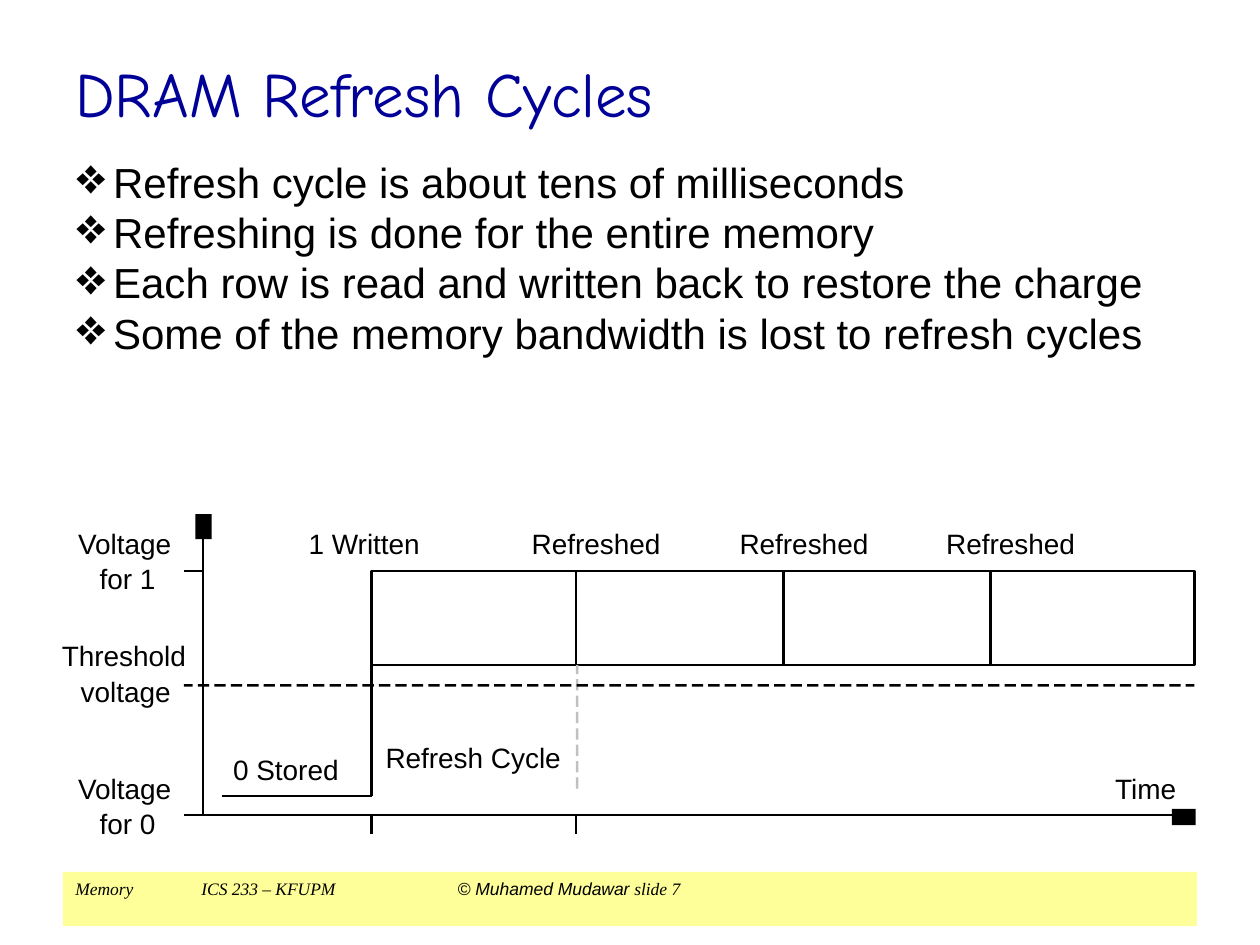
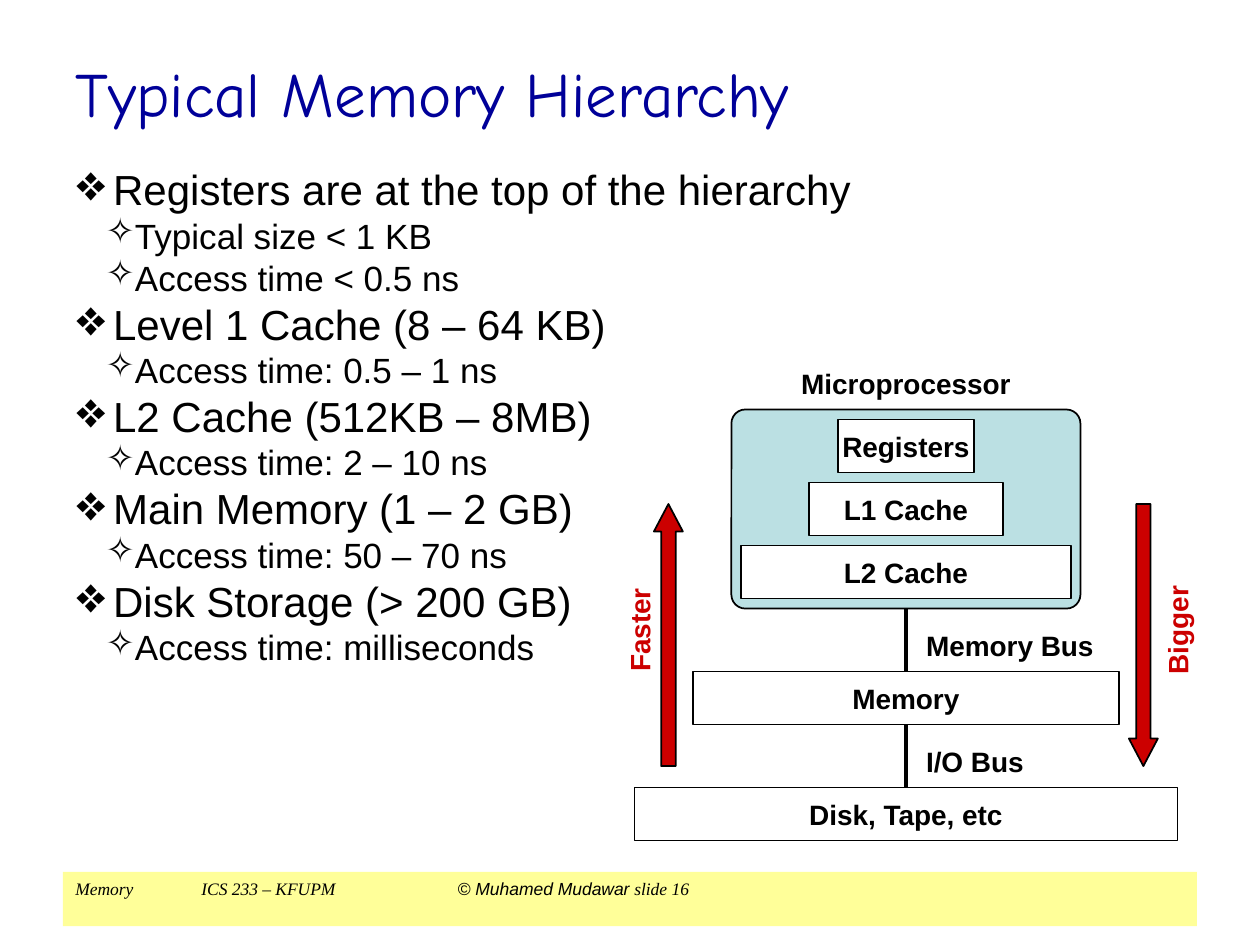
from lxml.etree import SubElement
from pptx import Presentation
from pptx.dml.color import RGBColor
from pptx.enum.shapes import MSO_CONNECTOR, MSO_SHAPE
from pptx.enum.text import MSO_ANCHOR, PP_ALIGN
from pptx.oxml.ns import qn
from pptx.util import Inches, Pt

BLACK = RGBColor(0x00, 0x00, 0x00)
WHITE = RGBColor(0xFF, 0xFF, 0xFF)
GREY = RGBColor(0xC0, 0xC0, 0xC0)
TITLE_BLUE = RGBColor(0x00, 0x00, 0x99)
BAND_YELLOW = RGBColor(0xFF, 0xFF, 0x99)
CHIP_TEAL = RGBColor(0xBB, 0xE0, 0xE3)
ARROW_RED = RGBColor(0xCC, 0x00, 0x00)

BODY_FONT, TITLE_FONT, FOOTER_FONT = "Arial", "Comic Neue", "Times New Roman"
PADDED = {"margin_left": Inches(0.1), "margin_right": Inches(0.1),
          "margin_top": Inches(0.05), "margin_bottom": Inches(0.05)}
TIGHT = dict.fromkeys(PADDED, 0)
LABEL = {"name": BODY_FONT, "size": Pt(16)}
BOLD_LABEL = {**LABEL, "bold": True}
# symbol, symbol scale, text size, left margin, first-line indent
BULLETS = [("❖", "120000", Pt(24), Inches(0.3), Inches(-0.29)),
           ("✧", "100000", Pt(20), Inches(0.24), 0)]
FOOTER_TABS = [Inches(1), Inches(3)]
AXIS_WEIGHT = 1.39


def apply(target, values):
    for name, value in values.items():
        setattr(target, name, value)


def add_run(paragraph, text, font, color=BLACK):
    run = paragraph.add_run()
    run.text = text
    apply(run.font, font)
    run.font.color.rgb = color


def add_text(slide, text, box, font, color=BLACK, frame=TIGHT, align=PP_ALIGN.LEFT,
             wrap=True, rotation=0):
    holder = slide.shapes.add_textbox(*map(Inches, box))
    holder.rotation = rotation
    apply(holder.text_frame, {"word_wrap": wrap, **frame})
    paragraph = holder.text_frame.paragraphs[0]
    paragraph.alignment = align
    add_run(paragraph, text, font, color)


def add_figure(slide, preset, box, fill=None, outline=None, weight=1):
    figure = slide.shapes.add_shape(preset, *map(Inches, box))
    figure.shadow.inherit = False
    if fill is None:
        figure.fill.background()
    else:
        figure.fill.solid()
        figure.fill.fore_color.rgb = fill
    if outline is None:
        figure.line.fill.background()
    else:
        figure.line.color.rgb = outline
        figure.line.width = Pt(weight)
    return figure


def add_block(slide, left, top, width, height, fill):
    return add_figure(slide, MSO_SHAPE.RECTANGLE, (left, top, width, height), fill)


def add_line(slide, start, end, weight=AXIS_WEIGHT):
    line = slide.shapes.add_connector(
        MSO_CONNECTOR.STRAIGHT, *map(Inches, (*start, *end)))
    line.line.color.rgb = BLACK
    line.line.width = Pt(weight)
    SubElement(line._element.spPr, qn("a:effectLst"))
    return line


def add_title_and_footer(slide, title, number):
    band = add_block(slide, 0.5, 6.92, 9, 0.43, BAND_YELLOW)
    apply(band.text_frame, {**PADDED, "vertical_anchor": MSO_ANCHOR.TOP})
    credit = band.text_frame.paragraphs[0]
    credit.alignment = PP_ALIGN.LEFT
    tabs = SubElement(credit._p.get_or_add_pPr(), qn("a:tabLst"))
    for position in FOOTER_TABS:
        SubElement(tabs, qn("a:tab"), pos=str(position), algn="l")
    for text, name in [("Memory\tICS 233 – KFUPM\t ", FOOTER_FONT),
                       ("© Muhamed Mudawar ", BODY_FONT),
                       (f"slide {number}", FOOTER_FONT)]:
        add_run(credit, text, {"name": name, "size": Pt(10), "italic": True})
    add_text(slide, title, (0.5, 0.3, 9, 0.87), {"name": TITLE_FONT, "size": Pt(36)},
             TITLE_BLUE, {**PADDED, "vertical_anchor": MSO_ANCHOR.MIDDLE})


def add_bullets(slide, box, points):
    """Write (level, text) points, each level with its own bullet and size."""
    frame = slide.shapes.add_textbox(*map(Inches, box)).text_frame
    apply(frame, {"word_wrap": True, **PADDED})
    for index, (level, text) in enumerate(points):
        paragraph = frame.add_paragraph() if index else frame.paragraphs[0]
        symbol, scale, size, margin, indent = BULLETS[level]
        paragraph.level = level
        properties = paragraph._p.get_or_add_pPr()
        properties.set("marL", str(margin))
        properties.set("indent", str(indent))
        SubElement(properties, qn("a:buSzPct"), val=scale)
        SubElement(properties, qn("a:buChar"), char=symbol)
        add_run(paragraph, text, {"name": BODY_FONT, "size": size})


def add_voltage_chart(slide):
    origin, high, low, decayed, axis, tick = 1.61, 4.53, 6.32, 5.28, 6.47, 1.46
    refreshes = [2.95, 4.57, 6.22, 7.86, 9.48]
    written, refreshed = refreshes[:2]

    add_line(slide, (tick, axis), (9.34, axis))
    add_block(slide, 9.3, 6.42, 0.19, 0.13, BLACK)
    add_line(slide, (origin, 4.23), (origin, axis))
    add_block(slide, 1.55, 4.08, 0.13, 0.2, BLACK)
    add_line(slide, (tick, high), (origin, high))
    for moment in (written, refreshed):
        add_line(slide, (moment, axis), (moment, 6.62))

    add_line(slide, (1.76, low), (written, low))
    add_line(slide, (written, low), (written, high))
    for start, end in zip(refreshes, refreshes[1:]):
        add_line(slide, (start, decayed), (start, high))
        add_figure(slide, MSO_SHAPE.RECTANGLE,
                   (start, high, end - start, decayed - high), None, BLACK, AXIS_WEIGHT)

    dash, threshold, first_dash, last_dash, dashes = 0.09, 5.43, 1.57, 9.28, 60
    pitch = (last_dash - first_dash) / (dashes - 1)
    add_block(slide, refreshed, decayed, 0.02, 0.07, GREY)
    for step in range(7):
        add_block(slide, refreshed, 5.39 + step * 0.13, 0.02, dash, GREY)
    for end_dash in (tick, 9.41):
        add_block(slide, end_dash, threshold, 0.07, 0.02, BLACK)
    for step in range(dashes):
        add_block(slide, first_dash + step * pitch, threshold, dash, 0.02, BLACK)

    labels = [("Time", 8.85, 6.12, 0.55), ("Threshold", 0.49, 5.07, 1.05),
              ("voltage", 0.64, 5.35, 0.8), ("0 Stored", 1.85, 5.97, 0.95),
              ("1 Written", 2.45, 4.18, 1), ("Refresh Cycle", 3.06, 5.88, 1.45)]
    labels += [("Refreshed", moment - 0.35, 4.18, 1.1) for moment in refreshes[1:-1]]
    for digit, top in [(1, 4.18), (0, 6.12)]:
        labels += [("Voltage", 0.62, top, 0.8), (f"for {digit}", 0.79, top + 0.28, 0.55)]
    for text, left, top, width in labels:
        add_text(slide, text, (left, top, width, 0.27), LABEL)


def add_store(slide, name, top, width, outline=BLACK):
    """Add one level of the hierarchy, centred on the shared axis."""
    store = add_figure(slide, MSO_SHAPE.RECTANGLE,
                       (7.19 - width / 2, top, width, 0.42), WHITE, outline)
    apply(store.text_frame, {**TIGHT, "vertical_anchor": MSO_ANCHOR.MIDDLE})
    paragraph = store.text_frame.paragraphs[0]
    paragraph.alignment = PP_ALIGN.CENTER
    add_run(paragraph, name, BOLD_LABEL)
    return store


def add_bus(slide, name, upper, lower, top):
    bus = add_line(slide, (7.19, top), (7.19, top + 0.5), 2.25)
    bus.begin_connect(upper, 2)
    bus.end_connect(lower, 0)
    add_text(slide, name, (7.35, top + 0.08, 1.47, 0.42), BOLD_LABEL,
             frame={**TIGHT, "vertical_anchor": MSO_ANCHOR.MIDDLE})


def add_trend(slide, name, preset, arrow_left, name_left):
    arrow = add_figure(slide, preset, (arrow_left, 4, 0.23, 2.08), ARROW_RED, BLACK)
    arrow.adjustments[0] = 0.5
    arrow.adjustments[1] = 0.95
    add_text(slide, name, (name_left, 4.82, 2, 0.36), BOLD_LABEL, ARROW_RED,
             PADDED, PP_ALIGN.CENTER, rotation=270)


def add_hierarchy(slide):
    add_store(slide, "Microprocessor", 2.83, 2.62, None)
    chip = add_figure(slide, MSO_SHAPE.ROUNDED_RECTANGLE,
                      (7.19 - 2.77 / 2, 3.25, 2.77, 1.58), CHIP_TEAL, BLACK)
    chip.adjustments[0] = 0.07
    for step, (name, width) in enumerate(
            [("Registers", 1.08), ("L1 Cache", 1.54), ("L2 Cache", 2.62)]):
        add_store(slide, name, 3.33 + step * 0.5, width)
    memory = add_store(slide, "Memory", 5.33, 3.38)
    disk = add_store(slide, "Disk, Tape, etc", 6.25, 4.31)
    add_bus(slide, "Memory Bus", chip, memory, 4.83)
    add_bus(slide, "I/O Bus", memory, disk, 5.75)
    add_trend(slide, "Faster", MSO_SHAPE.UP_ARROW, 5.19, 4.07)
    add_trend(slide, "Bigger", MSO_SHAPE.DOWN_ARROW, 8.96, 8.34)


def main():
    deck = Presentation()
    deck.slide_width, deck.slide_height = Inches(10), Inches(7.5)
    blank = deck.slide_layouts[6]

    refresh = deck.slides.add_slide(blank)
    add_title_and_footer(refresh, "DRAM Refresh Cycles", 7)
    add_voltage_chart(refresh)
    add_bullets(refresh, (0.5, 1.19, 9, 2.66), [
        (0, "Refresh cycle is about tens of milliseconds"),
        (0, "Refreshing is done for the entire memory"),
        (0, "Each row is read and written back to restore the charge"),
        (0, "Some of the memory bandwidth is lost to refresh cycles"),
    ])

    hierarchy = deck.slides.add_slide(blank)
    add_title_and_footer(hierarchy, "Typical Memory Hierarchy", 16)
    add_bullets(hierarchy, (0.5, 1.25, 9, 5.62), [
        (0, "Registers are at the top of the hierarchy"),
        (1, "Typical size < 1 KB"),
        (1, "Access time < 0.5 ns"),
        (0, "Level 1 Cache (8 – 64 KB)"),
        (1, "Access time: 0.5 – 1 ns"),
        (0, "L2 Cache (512KB – 8MB)"),
        (1, "Access time: 2 – 10 ns"),
        (0, "Main Memory (1 – 2 GB)"),
        (1, "Access time: 50 – 70 ns"),
        (0, "Disk Storage (> 200 GB)"),
        (1, "Access time: milliseconds"),
    ])
    add_hierarchy(hierarchy)

    deck.save("out.pptx")


if __name__ == "__main__":
    main()
